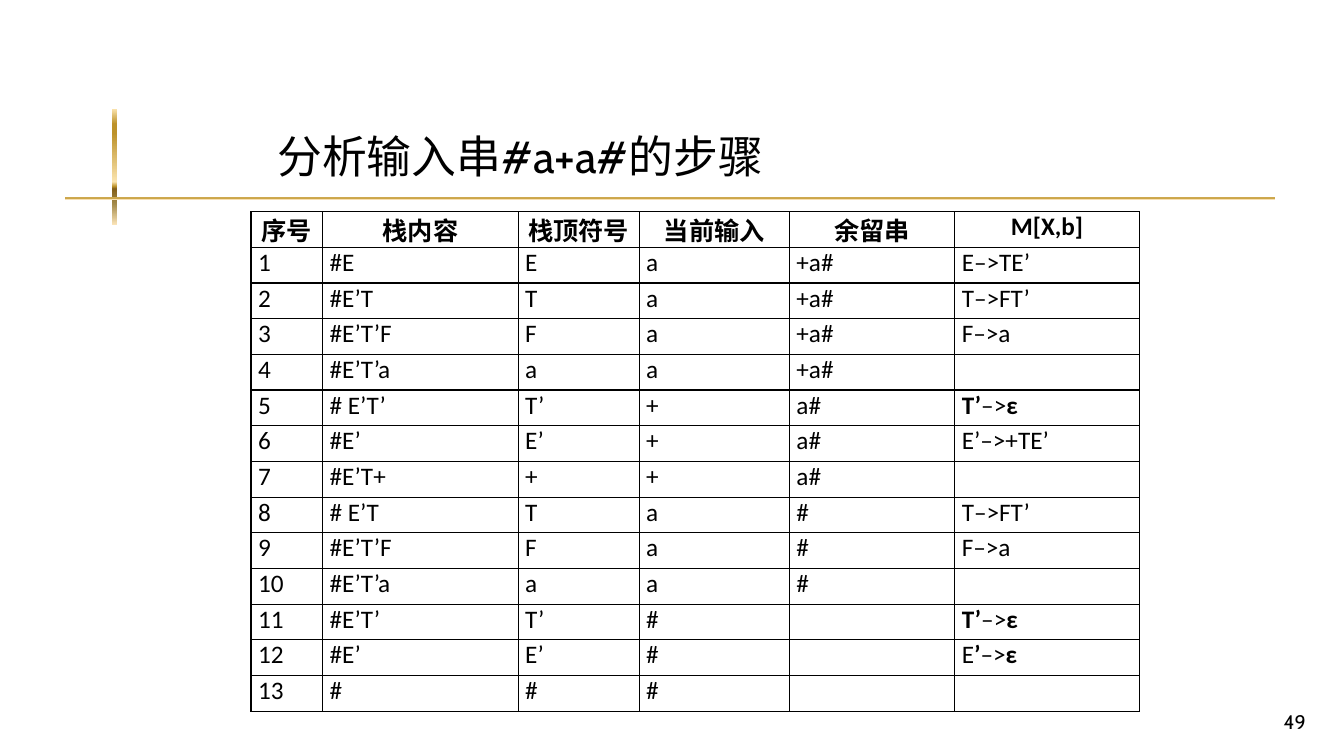
from lxml import etree
from pptx import Presentation
from pptx.dml.color import RGBColor
from pptx.enum.shapes import MSO_SHAPE
from pptx.enum.text import MSO_ANCHOR, PP_ALIGN
from pptx.oxml import parse_xml
from pptx.oxml.ns import nsdecls, qn
from pptx.util import Inches, Pt

RECTANGLE = MSO_SHAPE.RECTANGLE
TOP, BOTTOM = MSO_ANCHOR.TOP, MSO_ANCHOR.BOTTOM
LEFT, CENTER, RIGHT, JUSTIFY = PP_ALIGN.LEFT, PP_ALIGN.CENTER, PP_ALIGN.RIGHT, PP_ALIGN.JUSTIFY
TITLE_ONLY = 5

BLACK = RGBColor(0x00, 0x00, 0x00)
PALE_GOLD = RGBColor(0xFB, 0xE4, 0xAE)
GOLD = RGBColor(0xBD, 0x92, 0x2A)
DARK_GOLD = RGBColor(0x83, 0x5E, 0x17)
DULL_GOLD = RGBColor(0xA2, 0x89, 0x49)
LIGHT_GOLD = RGBColor(0xFA, 0xE3, 0xB7)
GOLD_STOPS = [(0, PALE_GOLD), (13, GOLD), (21, GOLD), (63, PALE_GOLD),
              (67, GOLD), (69, DARK_GOLD), (82, DULL_GOLD), (100, LIGHT_GOLD)]

COLUMN_WIDTHS = [0.71, 1.94, 1.2, 1.49, 1.64, 1.83]
HEADERS = ["序号", "栈内容", "栈顶符号", "当前输入", "余留串", "M[X,b]"]
# Asterisks enclose bold parts.
STEPS = [
    ["#E", "E", "a", "+a#", "E–>TE’"],
    ["#E’T", "T", "a", "+a#", "T–>FT’"],
    ["#E’T’F", "F", "a", "+a#", "F–>a"],
    ["#E’T’a", "a", "a", "+a#", ""],
    ["# E’T’", "T’", "+", "a#", "*T’*–>*ε*"],
    ["#E’", "E’", "+", "a#", "E’–>+TE’"],
    ["#E’T+", "+", "+", "a#", ""],
    ["# E’T", "T", "a", "#", "T–>FT’"],
    ["#E’T’F", "F", "a", "#", "F–>a"],
    ["#E’T’a", "a", "a", "#", ""],
    ["#E’T’", "T’", "#", "", "*T’*–>*ε*"],
    ["#E’", "E’", "#", "", "E*’*–>*ε*"],
    ["#", "#", "#", "", ""],
]


class SlideBuilder:
    heading_font = "Cabin"
    table_font = "Calibri"
    table_size = 18

    def __init__(self, slide):
        self.slide = slide

    def format_run(self, run, font, size, bold=False):
        run.font.name = font
        run.font.size = Pt(size)
        run.font.bold = bold
        run.font.color.rgb = BLACK

    def fill_text(self, shape, text, size, alignment, anchor):
        text_frame = shape.text_frame
        text_frame.text = text
        text_frame.word_wrap = True
        text_frame.vertical_anchor = anchor
        paragraph = text_frame.paragraphs[0]
        paragraph.alignment = alignment
        self.format_run(paragraph.runs[0], self.heading_font, size)

    def title(self, text, left, top, width, height):
        shape = self.slide.shapes.title
        shape.left, shape.top = Inches(left), Inches(top)
        shape.width, shape.height = Inches(width), Inches(height)
        self.fill_text(shape, text, 32, LEFT, TOP)

    def page_number(self, text, left, top, width, height):
        shape = self.slide.shapes.add_textbox(
            Inches(left), Inches(top), Inches(width), Inches(height))
        self.fill_text(shape, text, 14, RIGHT, BOTTOM)

    def gold_bar(self, left, top, width, height):
        bar = self.slide.shapes.add_shape(
            RECTANGLE, Inches(left), Inches(top), Inches(width), Inches(height))
        bar.shadow.inherit = False
        bar.line.fill.background()
        bar.fill.gradient()
        bar.fill.gradient_angle = 270
        stop_list = bar.fill.gradient_stops[0]._gs.getparent()
        for stop in list(stop_list):
            stop_list.remove(stop)
        for position, color in GOLD_STOPS:
            stop = etree.SubElement(stop_list, qn("a:gs"), pos=str(position * 1000))
            etree.SubElement(stop, qn("a:srgbClr"), val=str(color))

    def border(self, cell):
        """Draw a thin black line on all four sides of the cell."""
        properties = cell._tc.get_or_add_tcPr()
        for side in ("lnL", "lnR", "lnT", "lnB"):
            properties.append(parse_xml(
                f'<a:{side} {nsdecls("a")} w="{Pt(1)}"><a:solidFill>'
                f'<a:srgbClr val="{BLACK}"/></a:solidFill></a:{side}>'))

    def cell(self, cell, text, alignment, bold):
        cell.margin_left = cell.margin_right = Inches(0.07)
        cell.margin_top = cell.margin_bottom = 0
        self.border(cell)
        cell.fill.background()
        paragraph = cell.text_frame.paragraphs[0]
        paragraph.alignment = alignment
        for index, part in enumerate(text.split("*")):
            if part:
                run = paragraph.add_run()
                run.text = part
                self.format_run(run, self.table_font, self.table_size,
                                bold or index % 2 == 1)

    def table(self, rows, left, top, height):
        table = self.slide.shapes.add_table(
            len(rows), len(COLUMN_WIDTHS), Inches(left), Inches(top),
            Inches(sum(COLUMN_WIDTHS)), Inches(height)).table
        table.first_row = table.horz_banding = False
        for column, width in zip(table.columns, COLUMN_WIDTHS):
            column.width = Inches(width)
        for row_index, row in enumerate(rows):
            is_header = row_index == 0
            for column_index, text in enumerate(row):
                self.cell(table.cell(row_index, column_index), text,
                          CENTER if is_header else JUSTIFY, is_header)


def main():
    presentation = Presentation()
    presentation.slide_width = Inches(13.33)
    presentation.slide_height = Inches(7.5)
    slide = presentation.slides.add_slide(presentation.slide_layouts[TITLE_ONLY])
    builder = SlideBuilder(slide)

    builder.gold_bar(1.11, 1.08, 0.05, 1.15)
    builder.gold_bar(0.65, 1.95, 12, 0.03)
    builder.page_number("49", 10.27, 6.83, 2.78, 0.5)
    numbered_steps = [[str(number), *step] for number, step in enumerate(STEPS, 1)]
    builder.table([HEADERS, *numbered_steps], 2.49, 2.1, 4.96)
    builder.title("分析输入串#a+a#的步骤", 2.65, 1.23, 5.59, 0.64)

    presentation.save("out.pptx")


if __name__ == "__main__":
    main()
